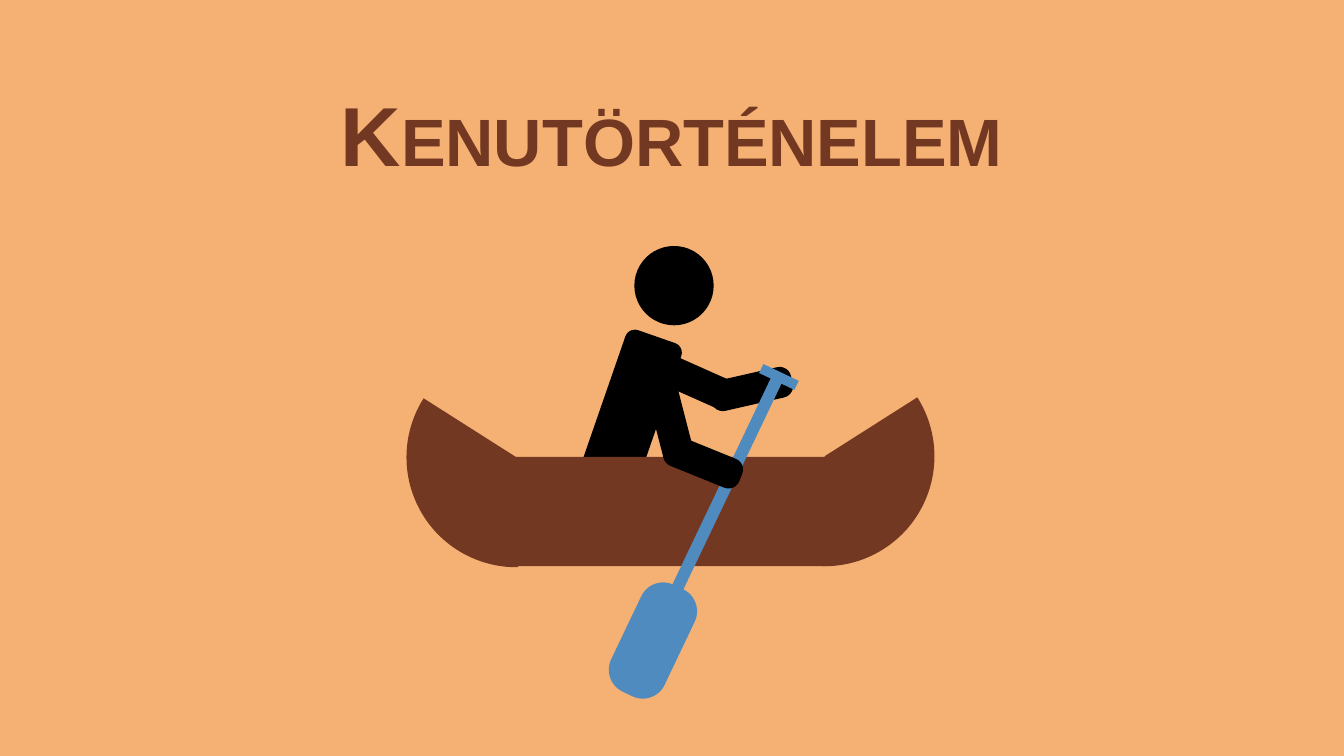
import pptx
import pptx.dml.color
import pptx.enum.shapes
import pptx.enum.text
import pptx.util

Inches = pptx.util.Inches
RGBColor = pptx.dml.color.RGBColor
SHAPE = pptx.enum.shapes.MSO_SHAPE

SAND = RGBColor(0xF5, 0xB1, 0x73)
BROWN = RGBColor(0x73, 0x38, 0x22)
BLACK = RGBColor(0x00, 0x00, 0x00)
BLUE = RGBColor(0x50, 0x8B, 0xBF)

BODY_AND_FAR_ARM = [
    (SHAPE.ROUNDED_RECTANGLE, (5.99, 3.31, 0.59, 1.57), 19.1, BLACK, [0.17]),
    (SHAPE.ROUNDED_RECTANGLE, (6.44, 3.63, 0.89, 0.31), 24, BLACK, [0.32]),
    (SHAPE.OVAL, (6.32, 2.45, 0.79, 0.79), 0, BLACK, []),
    (SHAPE.ROUNDED_RECTANGLE, (7.07, 3.72, 0.83, 0.31), 347.2, BLACK, [0.37]),
]
HULL_AND_UPPER_ARM = [
    (SHAPE.RECTANGLE, (5.14, 4.55, 3.09, 1.09), 0, BROWN, []),
    (SHAPE.ROUNDED_RECTANGLE, (6.16, 3.96, 0.99, 0.31), 75.5, BLACK, [0.32]),
]
PADDLE_AND_FOREARM = [
    (SHAPE.ROUNDED_RECTANGLE, (6.21, 5.79, 0.59, 1.18), 25.5, BLUE, [0.41]),
    (SHAPE.RECTANGLE, (7.16, 3.59, 0.12, 2.56), 25.5, BLUE, []),
    (SHAPE.RECTANGLE, (7.71, 3.56, 0.1, 0.39), 115.5, BLUE, []),
    (SHAPE.ROUNDED_RECTANGLE, (6.6, 4.45, 0.81, 0.31), 22.1, BLACK, [0.37]),
]


def apply_format(target, values):
    for name, value in values.items():
        setattr(target, name, value)


def add_title(slide, wording):
    title = slide.shapes.title
    apply_format(title, {
        "left": Inches(0), "top": Inches(0.42),
        "width": Inches(13.39), "height": Inches(1.47),
    })
    frame = title.text_frame
    apply_format(frame, {
        "text": wording,
        "word_wrap": True,
        "auto_size": pptx.enum.text.MSO_AUTO_SIZE.NONE,
        "vertical_anchor": pptx.enum.text.MSO_ANCHOR.BOTTOM,
    })
    heading = frame.paragraphs[0]
    apply_format(heading, {
        "alignment": pptx.enum.text.PP_ALIGN.CENTER, "line_spacing": 0.9,
    })
    font = heading.runs[0].font
    apply_format(font, {"name": "Arial", "size": pptx.util.Pt(60), "bold": True})
    font.color.rgb = BROWN
    heading.runs[0]._r.get_or_add_rPr().set("cap", "small")


def add_part(canoeist, kind, box, rotation, color, adjustments):
    part = canoeist.shapes.add_shape(kind, *map(Inches, box))
    part.rotation = rotation
    part.fill.solid()
    part.fill.fore_color.rgb = color
    part.line.fill.background()
    part.shadow.inherit = False
    for index, value in enumerate(adjustments):
        part.adjustments[index] = value
    return part


def add_parts(canoeist, parts):
    for part in parts:
        add_part(canoeist, *part)


def add_canoe_ends(canoeist):
    wedge = [211.11, 69.13]
    add_part(canoeist, SHAPE.PIE, (4.05, 3.46, 2.19, 2.19), 97.2, BROWN, wedge)
    bow = add_part(canoeist, SHAPE.PIE, (7.12, 3.45, 2.19, 2.19), 262.8, BROWN, wedge)
    bow.element.spPr.xfrm.set("flipH", "1")


def main():
    deck = pptx.Presentation()
    apply_format(deck, {"slide_width": Inches(13.39), "slide_height": Inches(7.53)})
    slide = deck.slides.add_slide(deck.slide_layouts[5])
    slide.background.fill.solid()
    slide.background.fill.fore_color.rgb = SAND

    add_title(slide, "Kenutörténelem")
    canoeist = slide.shapes.add_group_shape()
    add_parts(canoeist, BODY_AND_FAR_ARM)
    add_canoe_ends(canoeist)
    add_parts(canoeist, HULL_AND_UPPER_ARM)
    add_parts(canoeist, PADDLE_AND_FOREARM)
    deck.save("out.pptx")


if __name__ == "__main__":
    main()
